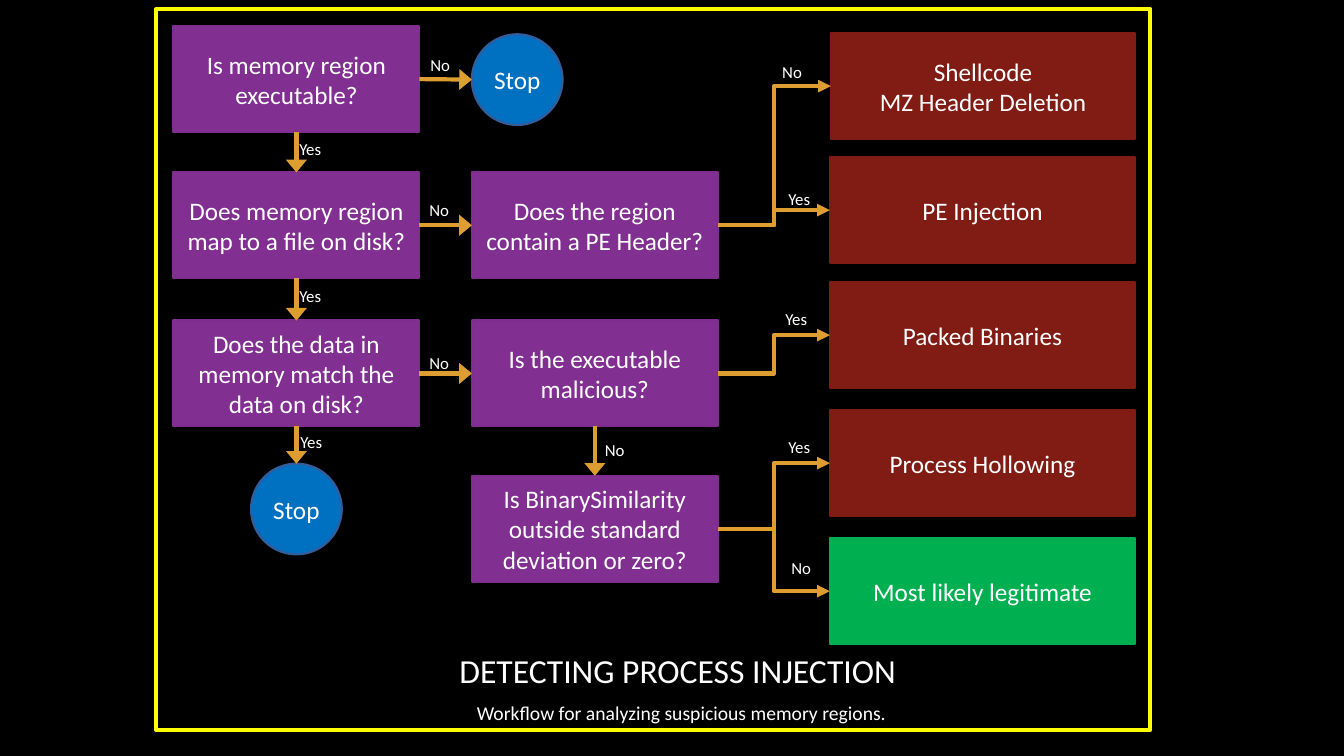
"""Build a flowchart slide about detecting process injection."""
from pptx import Presentation
from pptx import util as u
from pptx.dml.color import RGBColor
from pptx.enum import shapes, text
from pptx.oxml.ns import qn
from lxml import etree

PX = u.Inches(1) // 100
THEME = {
    "font": "Calibri", "background": "000000", "text": "FFFFFF", "arrow": "DD9D31", "frame": "FFFF00",
    "question": ("812F91", "7F2E8F"), "stop": ("0070C0", "355B9B"),
    "threat": ("801C14", "801C14"), "safe": ("00B050", "00B050"),
    "title": 24, "box": 18, "subtitle": 14, "label": 12, "thick": 3, "thin": 1.5,
}
SHAPE, LINE = shapes.MSO_SHAPE, shapes.MSO_CONNECTOR
TOP, LEFT, BOTTOM, RIGHT = range(4)


def write(frame, copy, size="box", align=text.PP_ALIGN.CENTER, anchor=text.MSO_ANCHOR.MIDDLE, after=0):
    frame.word_wrap = True
    frame.vertical_anchor = anchor
    for index, words in enumerate(copy.split("\n")):
        para = frame.add_paragraph() if index else frame.paragraphs[0]
        para.alignment = align
        para.space_after = u.Pt(after)
        span = para.add_run()
        span.text = words
        span.font.name = THEME["font"]
        span.font.size = u.Pt(THEME[size])
        span.font.color.rgb = RGBColor.from_string(THEME["text"])


deck = Presentation()
deck.slide_width, deck.slide_height = 1333 * PX, 750 * PX
page = deck.slides.add_slide(deck.slide_layouts[6])
page.background.fill.solid()
page.background.fill.fore_color.rgb = RGBColor.from_string(THEME["background"])

captions = [
    ("DETECTING PROCESS INJECTION ", 628, 62, "title", text.MSO_ANCHOR.BOTTOM, 0),
    ("Workflow for analyzing suspicious memory regions.", 690, 54, "subtitle", text.MSO_ANCHOR.TOP, 10),
]
for copy, top, height, size, anchor, after in captions:
    caption = page.shapes.add_textbox(122 * PX, top * PX, 1108 * PX, height * PX)
    write(caption.text_frame, copy, size=size, anchor=anchor, after=after)

QUESTION, OUTCOME, STOP = (244, 105), (303, 105), (90, 90)
nodes = [
    ("executable", "Is memory region executable?", 172, 26, QUESTION, "question"),
    ("mapped", "Does memory region map to a file on disk?", 172, 171, QUESTION, "question"),
    ("match", "Does the data in memory match the data on disk?", 172, 318, QUESTION, "question"),
    ("header", "Does the region contain a PE Header?", 468, 171, QUESTION, "question"),
    ("malicious", "Is the executable malicious?", 468, 318, QUESTION, "question"),
    ("similarity", "Is BinarySimilarity outside standard deviation or zero?", 468, 472, QUESTION, "question"),
    ("not executable", "Stop", 468, 34, STOP, "stop"),
    ("same data", "Stop", 249, 460, STOP, "stop"),
    ("shellcode", "Shellcode\nMZ Header Deletion", 824, 33, (302, 105), "threat"),
    ("injection", "PE Injection", 823, 156, OUTCOME, "threat"),
    ("packed", "Packed Binaries", 823, 280, OUTCOME, "threat"),
    ("hollowing", "Process Hollowing", 823, 407, OUTCOME, "threat"),
    ("legitimate", "Most likely legitimate", 823, 534, OUTCOME, "safe"),
]
boxes = {}
for name, copy, left, top, (width, height), role in nodes:
    preset = SHAPE.FLOWCHART_CONNECTOR if role == "stop" else SHAPE.FLOWCHART_PROCESS
    box = page.shapes.add_shape(preset, left * PX, top * PX, width * PX, height * PX)
    box.shadow.inherit = False
    fill, outline = THEME[role]
    box.fill.solid()
    box.fill.fore_color.rgb = RGBColor.from_string(fill)
    box.line.color.rgb = RGBColor.from_string(outline)
    box.line.width = u.Pt(THEME["thin"])
    frame = box.text_frame
    if role == "stop":
        frame.margin_left = frame.margin_right = frame.margin_top = frame.margin_bottom = 0
    write(frame, copy)
    boxes[name] = box

links = [
    ("executable", RIGHT, "not executable", LEFT, LINE.STRAIGHT),
    ("executable", BOTTOM, "mapped", TOP, LINE.STRAIGHT),
    ("mapped", RIGHT, "header", LEFT, LINE.STRAIGHT),
    ("mapped", BOTTOM, "match", TOP, LINE.STRAIGHT),
    ("match", RIGHT, "malicious", LEFT, LINE.STRAIGHT),
    ("match", BOTTOM, "same data", TOP, LINE.STRAIGHT),
    ("malicious", BOTTOM, "similarity", TOP, LINE.STRAIGHT),
    ("header", RIGHT, "shellcode", LEFT, LINE.ELBOW),
    ("header", RIGHT, "injection", LEFT, LINE.ELBOW),
    ("malicious", RIGHT, "packed", LEFT, LINE.ELBOW),
    ("similarity", RIGHT, "hollowing", LEFT, LINE.ELBOW),
    ("similarity", RIGHT, "legitimate", LEFT, LINE.ELBOW),
]
for source, source_side, target, target_side, kind in links:
    goal = boxes[target]
    arrow = page.shapes.add_connector(kind, 0, 0, goal.left, goal.top + goal.height // 2)
    arrow.begin_connect(boxes[source], source_side)
    if target != "not executable":
        arrow.end_connect(goal, target_side)
    arrow.line.color.rgb = RGBColor.from_string(THEME["arrow"])
    arrow.line.width = u.Pt(THEME["thick"])
    head_width = "lg" if kind == LINE.STRAIGHT else "med"
    etree.SubElement(arrow.line._get_or_add_ln(), qn("a:tailEnd"), type="triangle", w=head_width, len="med")
    etree.SubElement(arrow._element.spPr, qn("a:effectLst"))

answers = {
    "Yes": [(287, 133), (287, 279), (288, 423), (772, 182), (769, 301), (772, 428)],
    "No": [(417, 49), (416, 193), (416, 345), (766, 56), (590, 431), (775, 548)],
}
for answer, places in answers.items():
    for left, top in places:
        label = page.shapes.add_textbox(left * PX, top * PX, 51 * PX, 30 * PX)
        label.text_frame.auto_size = text.MSO_AUTO_SIZE.SHAPE_TO_FIT_TEXT
        write(label.text_frame, answer, size="label", align=text.PP_ALIGN.LEFT, anchor=text.MSO_ANCHOR.TOP)

border = page.shapes.add_shape(SHAPE.RECTANGLE, 155 * PX, 9 * PX, 986 * PX, 715 * PX)
border.shadow.inherit = False
border.fill.background()
border.line.color.rgb = RGBColor.from_string(THEME["frame"])
border.line.width = u.Pt(THEME["thick"])

deck.save("out.pptx")
